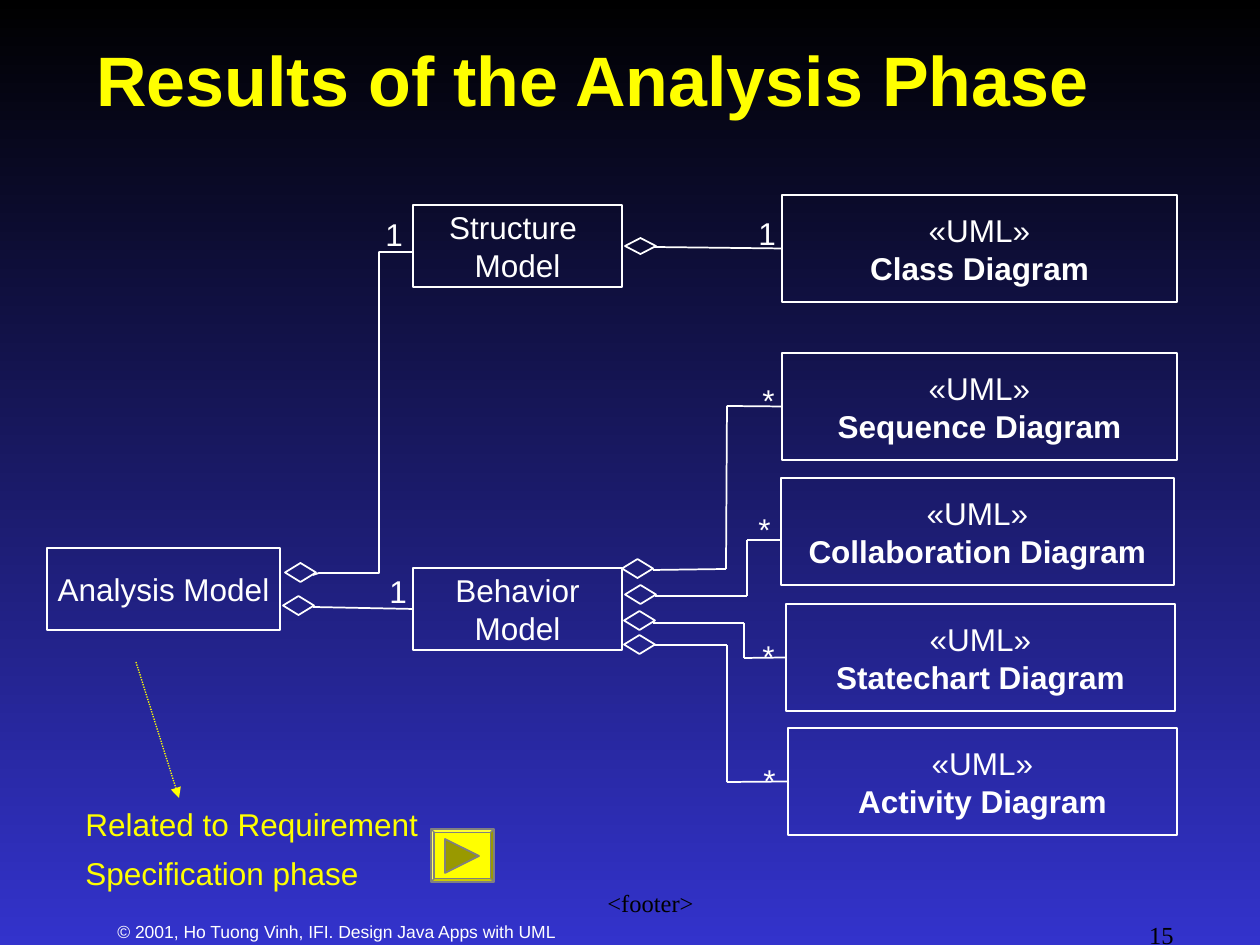
"""Build the slide showing which models and diagrams result from the analysis phase."""
from typing import NamedTuple, Optional

from lxml import etree
from pptx import Presentation
from pptx.dml.color import RGBColor
from pptx.enum.dml import MSO_LINE
from pptx.enum.shapes import MSO_CONNECTOR, MSO_SHAPE
from pptx.enum.text import MSO_ANCHOR, PP_ALIGN
from pptx.oxml.ns import qn
from pptx.util import Emu, Pt

SCALE = 914400 / 126
RECT, DIAMOND, BEVEL = MSO_SHAPE.RECTANGLE, MSO_SHAPE.DIAMOND, MSO_SHAPE.BEVEL
STRAIGHT = MSO_CONNECTOR.STRAIGHT
DOTTED = MSO_LINE.ROUND_DOT
LEFT, CENTER, RIGHT = PP_ALIGN.LEFT, PP_ALIGN.CENTER, PP_ALIGN.RIGHT
TOP, MIDDLE = MSO_ANCHOR.TOP, MSO_ANCHOR.MIDDLE
LEFT_SIDE = 1
WHITE, YELLOW, BLACK, GRAY, OLIVE = "FFFFFF", "FFFF00", "000000", "808080", "999900"
SANS, SERIF = "Arial", "Times New Roman"


class Box(NamedTuple):
    x: int
    y: int
    w: int
    h: int


class Model(NamedTuple):
    box: Box
    lines: tuple[str, ...]


class Label(NamedTuple):
    text: str
    box: Box
    size: int = 18
    color: str = WHITE
    font: str = SANS
    align: PP_ALIGN = LEFT
    anchor: MSO_ANCHOR = TOP
    bold: bool = False
    wrap: bool = True
    leading: Optional[float] = None


class Wire(NamedTuple):
    points: tuple[tuple[int, int], ...]
    target: Optional[str] = None


MODELS = {
    "analysis": Model(Box(47, 548, 233, 82), ("Analysis Model",)),
    "structure": Model(Box(413, 205, 209, 82), ("Structure ", "Model")),
    "behavior": Model(Box(413, 568, 209, 82), ("Behavior", "Model")),
}
DIAGRAMS = {
    "Class": Box(782, 195, 395, 107),
    "Sequence": Box(782, 353, 395, 107),
    "Collaboration": Box(781, 478, 393, 107),
    "Statechart": Box(786, 604, 389, 107),
    "Activity": Box(788, 728, 389, 107),
}
AGGREGATIONS = [
    Box(625, 238, 31, 16),
    *(Box(x, y, 31, 19) for x, y in (
        (285, 563), (283, 596), (622, 559), (625, 585), (624, 611), (624, 635))),
]
WIRES = [
    Wire(((654, 247), (782, 247)), "Class"),
    Wire(((313, 607), (413, 607)), "behavior"),
    Wire(((653, 570), (726, 569), (727, 406), (782, 406)), "Sequence"),
    Wire(((655, 596), (747, 596), (747, 540), (781, 540))),
    Wire(((653, 623), (744, 623), (744, 658), (786, 658)), "Statechart"),
    Wire(((653, 645), (727, 645), (727, 782), (788, 782)), "Activity"),
]
STRUCTURE_PATH = [(313, 575), (319, 573), (379, 573), (379, 252), (413, 252)]
MULTIPLICITIES = [
    ("1", 746, 208), ("1", 373, 209), ("1", 377, 566),
    ("*", 750, 375), ("*", 746, 504), ("*", 750, 631), ("*", 751, 755),
]
LABELS = [
    Label("Results of the Analysis Phase", Box(84, 42, 1071, 73), 40, YELLOW,
          anchor=MIDDLE, bold=True),
    Label("Related to Requirement Specification phase", Box(73, 789, 420, 101),
          color=YELLOW, leading=27.5),
    Label("© 2001, Ho Tuong Vinh, IFI. Design Java Apps with UML",
          Box(105, 915, 683, 30), 10),
    Label("<footer>", Box(451, 882, 399, 63), 14, BLACK, SERIF, CENTER),
    Label("15", Box(924, 914, 262, 31), 14, BLACK, SERIF, RIGHT),
    *(Label(text, Box(x, y, 40, 50), wrap=False) for text, x, y in MULTIPLICITIES),
]


def px(value: float) -> Emu:
    """Turn px into EMU."""
    return Emu(round(value * SCALE))


def rgb(value: str) -> RGBColor:
    """Turn a hex string into a colour."""
    return RGBColor.from_string(value)


def style(shape, fill: Optional[str], line: Optional[str], width: float = 1) -> None:
    """Set the fill and outline and take away the shadow."""
    shape.shadow.inherit = False
    if fill:
        shape.fill.solid()
        shape.fill.fore_color.rgb = rgb(fill)
    else:
        shape.fill.background()
    if line:
        shape.line.color.rgb = rgb(line)
        shape.line.width = Pt(width)
    else:
        shape.line.fill.background()


def set_font(paragraph, size: int, color: str, name: str = SANS, bold: bool = False) -> None:
    """Set the font of a whole paragraph."""
    font = paragraph.font
    font.size, font.name, font.bold = Pt(size), name, bold
    font.color.rgb = rgb(color)


def draw_shape(slide, kind, box: Box, fill: Optional[str] = None,
               line: str = WHITE, width: float = 1):
    """Draw a preset shape."""
    shape = slide.shapes.add_shape(kind, *map(px, box))
    style(shape, fill, line, width)
    return shape


def draw_model(slide, model: Model, bold_last: bool = False):
    """Draw an outlined box with centred lines of text."""
    shape = draw_shape(slide, RECT, model.box)
    frame = shape.text_frame
    frame.word_wrap, frame.vertical_anchor = False, MIDDLE
    frame.text = "\n".join(model.lines)
    for paragraph in frame.paragraphs:
        paragraph.alignment = CENTER
        set_font(paragraph, 18, WHITE)
    frame.paragraphs[-1].font.bold = bold_last
    return shape


def draw_label(slide, label: Label) -> None:
    """Draw one free-standing text."""
    frame = slide.shapes.add_textbox(*map(px, label.box)).text_frame
    frame.word_wrap, frame.vertical_anchor = label.wrap, label.anchor
    frame.text = label.text
    paragraph = frame.paragraphs[0]
    paragraph.alignment = label.align
    if label.leading:
        paragraph.line_spacing = Pt(label.leading)
    set_font(paragraph, label.size, label.color, label.font, label.bold)


def draw_line(slide, start, end, color: str = WHITE, width: float = 1):
    """Draw a straight connector without a shadow."""
    connector = slide.shapes.add_connector(STRAIGHT, *map(px, (*start, *end)))
    connector.line.color.rgb = rgb(color)
    connector.line.width = Pt(width)
    etree.SubElement(connector._element.spPr, qn("a:effectLst"))
    return connector


def draw_wire(slide, wire: Wire, nodes: dict) -> None:
    """Draw the legs of a wire and join the last one to its target."""
    for start, end in zip(wire.points, wire.points[1:]):
        leg = draw_line(slide, start, end)
    if wire.target:
        leg.end_connect(nodes[wire.target], LEFT_SIDE)


def draw_path(slide, points, closed: bool, fill: Optional[str], line: Optional[str]) -> None:
    """Draw a freeform through the given points."""
    builder = slide.shapes.build_freeform(*points[0], scale=SCALE)
    builder.add_line_segments(points[1:], close=closed)
    style(builder.convert_to_shape(), fill, line)


def main() -> None:
    """Build and save the slide."""
    deck = Presentation()
    deck.slide_width, deck.slide_height = px(1260), px(945)
    slide = deck.slides.add_slide(deck.slide_layouts[6])
    backdrop = slide.background.fill
    backdrop.gradient()
    backdrop.gradient_angle = 270
    for stop, color in zip(backdrop.gradient_stops, (BLACK, "3333CC")):
        stop.color.rgb = rgb(color)

    nodes = {key: draw_model(slide, model) for key, model in MODELS.items()}
    for kind, box in DIAGRAMS.items():
        nodes[kind] = draw_model(slide, Model(box, ("«UML»", f"{kind} Diagram")), True)
    for box in AGGREGATIONS:
        draw_shape(slide, DIAMOND, box)
    for wire in WIRES:
        draw_wire(slide, wire, nodes)
    draw_path(slide, STRUCTURE_PATH, False, None, WHITE)
    for label in LABELS:
        draw_label(slide, label)

    button = draw_shape(slide, BEVEL, Box(431, 829, 63, 53), YELLOW, GRAY, 0.75)
    button.adjustments[0] = 0.06
    draw_path(slide, [(445, 839), (479, 856), (445, 873)], True, OLIVE, GRAY)

    pointer = draw_line(slide, (136, 662), (179, 798), YELLOW, 0.75)
    pointer.line.dash_style = DOTTED
    etree.SubElement(pointer.line._get_or_add_ln(), qn("a:tailEnd"), type="triangle")
    deck.save("out.pptx")


if __name__ == "__main__":
    main()
